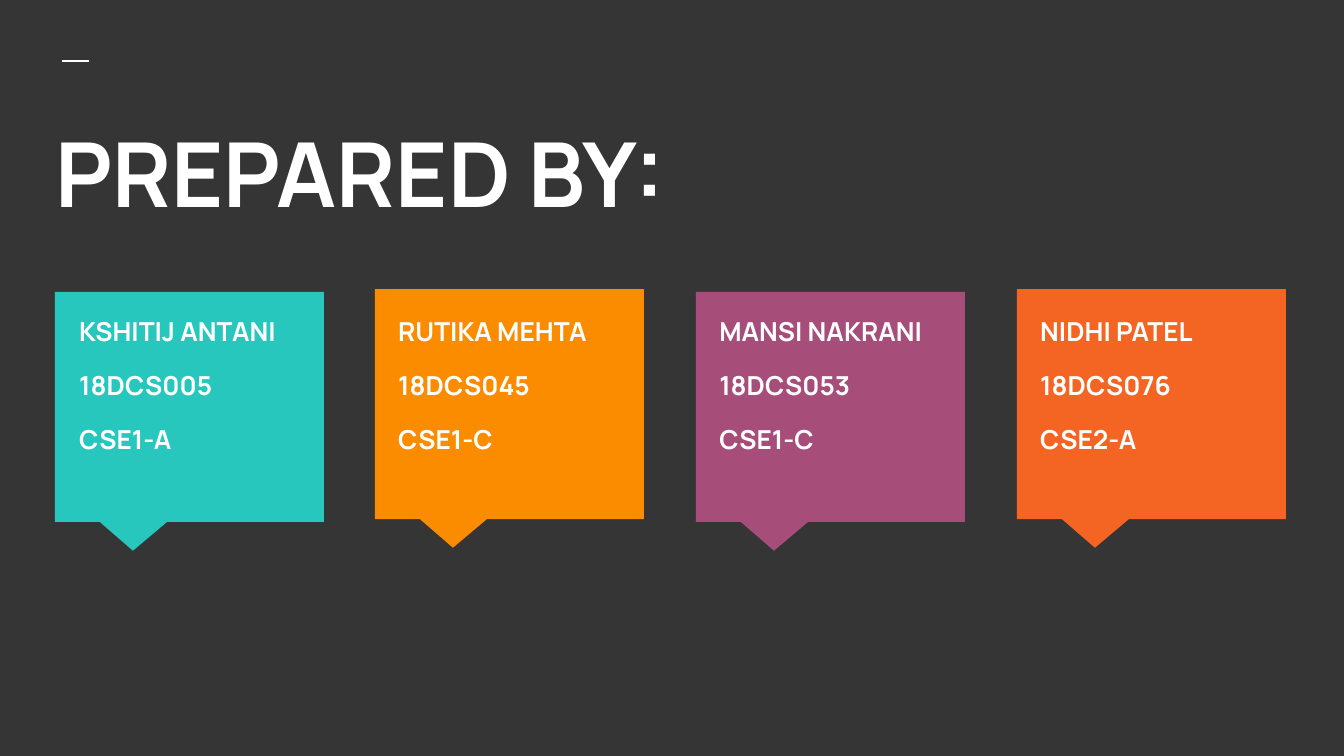
"""Build the dark "Prepared by" slide with four author callouts."""
from dataclasses import dataclass

from lxml.etree import SubElement
from pptx import Presentation
from pptx.dml.color import RGBColor as Rgb
from pptx.enum.shapes import MSO_CONNECTOR as Link, MSO_SHAPE as Kind
from pptx.oxml.ns import qn
from pptx.util import Inches, Pt

SCALE = 914400 / 134.4
FONT = "Manrope"
COLORS = {
    "back": "353535",
    "text": "FFFFFF",
    "teal": "27C7BD",
    "amber": "FB8C00",
    "plum": "A64D79",
    "orange": "F46524",
}


@dataclass(frozen=True)
class Author:
    name: str
    roll: str
    group: str
    color: str
    top: int
    inset: int = 10


AUTHORS = [
    Author("KSHITIJ ANTANI", "18DCS005", "CSE1-A", "teal", 292, 11),
    Author("RUTIKA MEHTA", "18DCS045", "CSE1-C", "amber", 289),
    Author("MANSI NAKRANI", "18DCS053", "CSE1-C", "plum", 292),
    Author("NIDHI PATEL", "18DCS076", "CSE2-A", "orange", 289),
]


def px(count: int) -> int:
    return round(count * SCALE)


def rgb(name: str) -> Rgb:
    return Rgb.from_string(COLORS[name])


def add_text(slide, lines: list[str], left: int, top: int,
             width: int, height: int, size: int) -> None:
    box = slide.shapes.add_textbox(px(left), px(top), px(width), px(height))
    frame = box.text_frame
    frame.word_wrap = True
    frame.margin_left = frame.margin_right = Inches(0.1)
    frame.margin_top = frame.margin_bottom = Inches(0.1)
    frame.text = "\n".join(lines)
    for row, para in enumerate(frame.paragraphs):
        if row:
            para.space_before = Pt(12)
        for run in para.runs:
            run.font.name = FONT
            run.font.size = Pt(size)
            run.font.bold = True
            run.font.color.rgb = rgb("text")


def add_dash(slide) -> None:
    dash = slide.shapes.add_connector(Link.STRAIGHT, px(62), px(61), px(89), px(61))
    dash.line.color.rgb = rgb("text")
    dash.line.width = Pt(1.5)
    SubElement(dash._element.spPr, qn("a:effectLst"))


def add_card(slide, author: Author, left: int) -> None:
    card = slide.shapes.add_shape(
        Kind.RECTANGULAR_CALLOUT, px(left), px(author.top), px(269), px(230))
    card.adjustments[0] = -0.21
    card.adjustments[1] = 0.625
    card.shadow.inherit = False
    card.fill.solid()
    card.fill.fore_color.rgb = rgb(author.color)
    card.line.fill.background()
    lines = [author.name, author.roll, author.group]
    add_text(slide, lines, left + author.inset, 302, 250, 202, 14)


def main() -> None:
    deck = Presentation()
    deck.slide_width, deck.slide_height = px(1344), px(756)
    slide = deck.slides.add_slide(deck.slide_layouts[6])
    slide.background.fill.solid()
    slide.background.fill.fore_color.rgb = rgb("back")
    add_dash(slide)
    add_text(slide, ["PREPARED BY:"], 42, 105, 1267, 150, 48)
    for col, author in enumerate(AUTHORS):
        add_card(slide, author, 55 + 962 * col // 3)
    deck.save("out.pptx")


if __name__ == "__main__":
    main()
